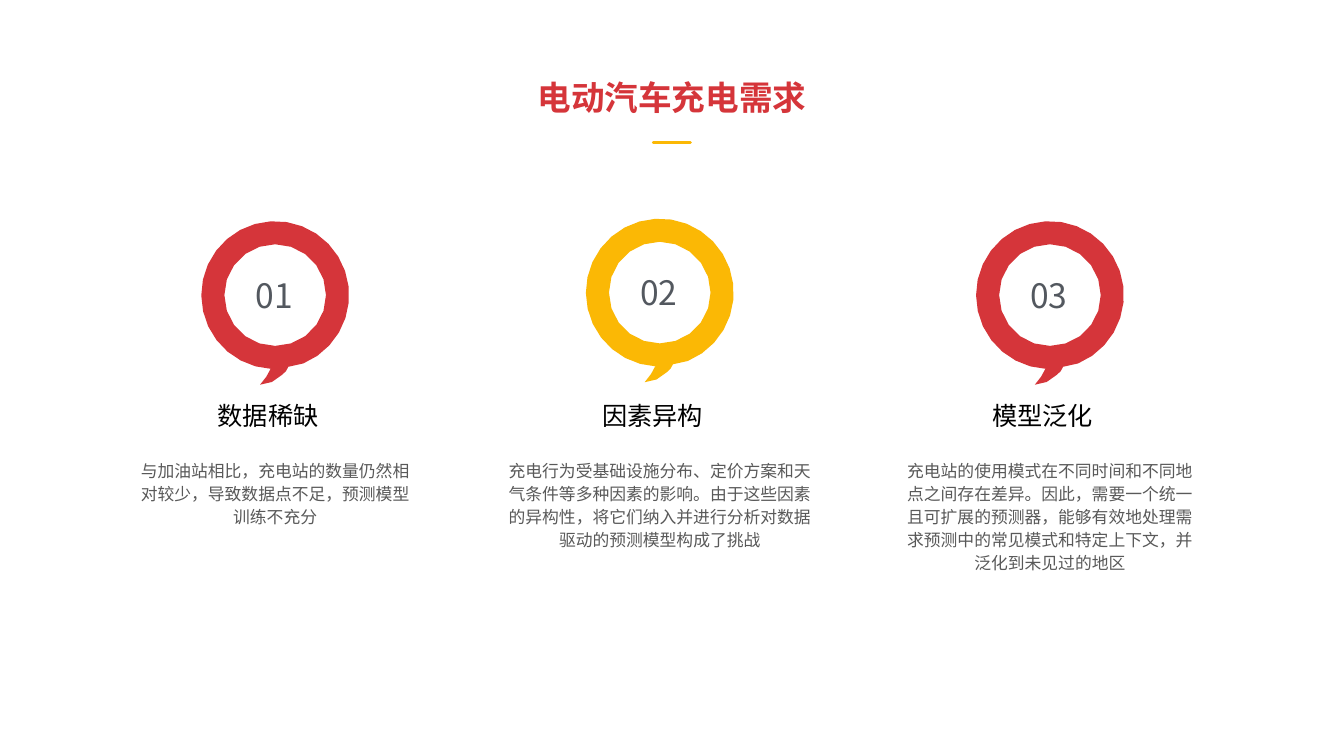
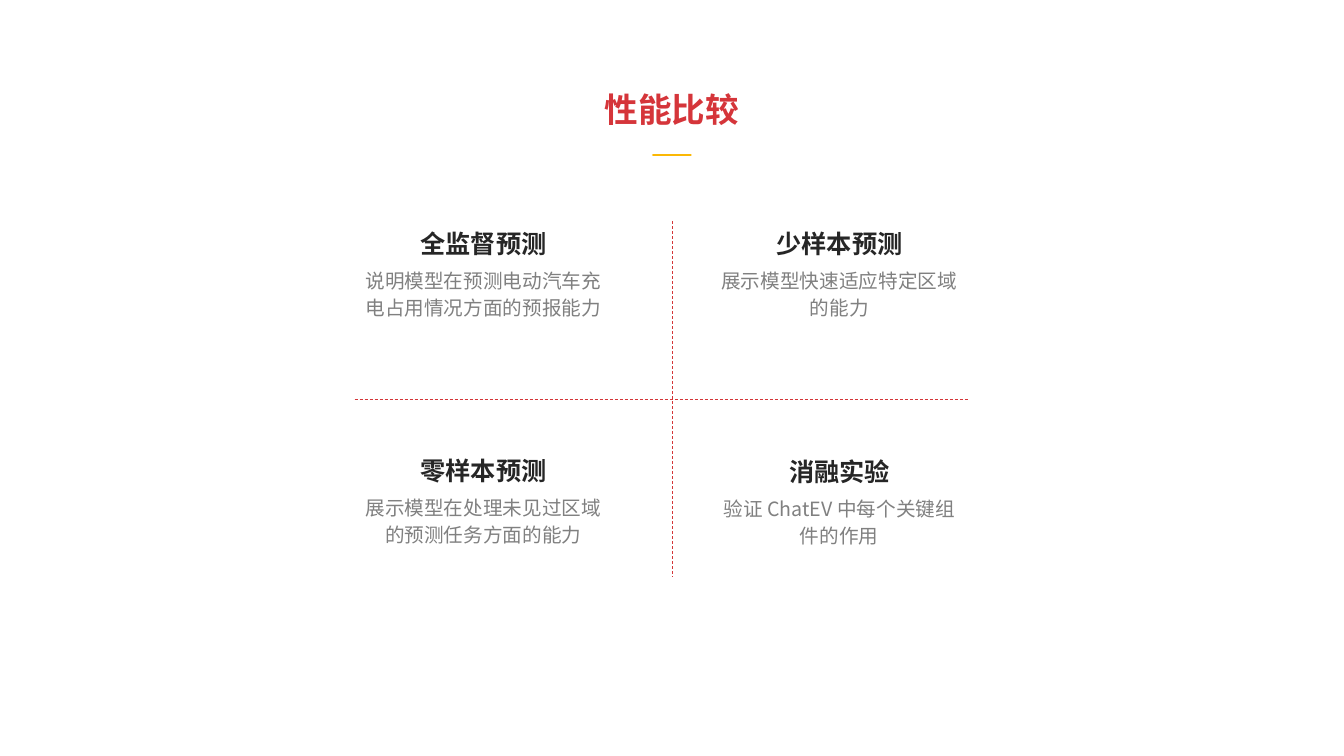
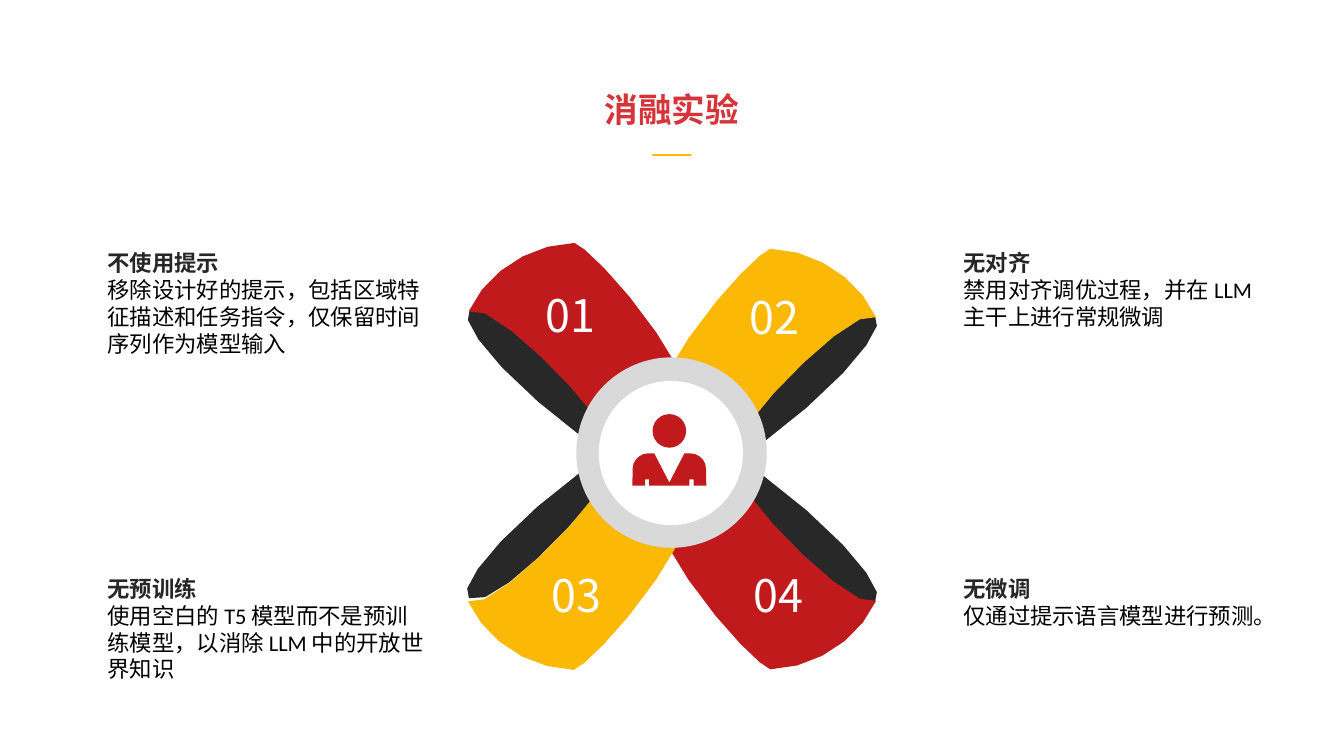
"""Build three slides on charging demand, model comparison and ablation."""
import math

import pptx
import pptx.dml.color
import pptx.enum.dml
import pptx.enum.shapes
import pptx.enum.text
import pptx.util
from lxml import etree

Pt = pptx.util.Pt
Align = pptx.enum.text.PP_ALIGN
Anchor = pptx.enum.text.MSO_ANCHOR
Fit = pptx.enum.text.MSO_AUTO_SIZE
Oval = pptx.enum.shapes.MSO_SHAPE.OVAL
Rect = pptx.enum.shapes.MSO_SHAPE.RECTANGLE
Line = pptx.enum.shapes.MSO_CONNECTOR.STRAIGHT
Dash = pptx.enum.dml.MSO_LINE.DASH
DRAW = "{http://schemas.openxmlformats.org/drawingml/2006/main}"
FONT = "Noto Sans CJK SC"
HUES = {
    "red": "D5353A", "gold": "FBB805", "deep": "C01A1D", "rule": "D43538",
    "fold": "282828", "head": "262626", "body": "595959", "soft": "808080",
    "slate": "53585F", "ring": "D9D9D9", "white": "FFFFFF", "black": "000000",
}


def hue(name):
    """Return the named colour."""
    return pptx.dml.color.RGBColor.from_string(HUES[name])


def curve(ends, steps):
    """Return points along one cubic curve, without its start."""
    marks = []
    for step in range(1, steps + 1):
        t = step / steps
        parts = ((1 - t) ** 3, 3 * t * (1 - t) ** 2, 3 * t * t * (1 - t), t ** 3)
        marks.append(tuple(sum(w * p[i] for w, p in zip(parts, ends)) for i in (0, 1)))
    return marks


def trace(start, *bends, steps=5):
    """Return points along joined cubic curves."""
    marks = [start]
    for bend in bends:
        marks += curve((marks[-1], *bend), steps)
    return marks


def arc(size, first, last, steps):
    """Return points on a circle between two angles in degrees."""
    turns = [math.radians(first + (last - first) * i / steps) for i in range(steps)]
    return [(size * math.cos(a), size * math.sin(a)) for a in turns]


PETAL = trace(
    (0, 0),
    ((-28.8, -53.3), (-71.3, -93.6), (-77, -94.3)),
    ((-109.4, -93.6), (-140.4, -72.7), (-152.6, -45.4)),
    ((-141.1, -54), (-85, -1.4), (-62.6, 29.5)),
)
FOLD = trace(
    (-67.7, 47.5),
    ((-134.6, -2.2), (-161.3, -41), (-151.9, -46.1)),
    ((-139, -54.7), (-91.4, -10.1), (-61.9, 26.6)),
)
TAIL = trace(
    (9.4, 51.2),
    ((8.6, 53.3), (7.2, 55.4), (5, 56.9)),
    ((0.7, 61.2), (-5, 64), (-10.8, 64)),
    ((-7.2, 60.5), (-5, 56.2), (-2.9, 52)),
    steps=2,
)
COAT = [(14.4, 23), (14.4, 18.7), (17.3, 18.7), (17.3, 23), (26.4, 23)]
COAT += trace((26.2, 10.8), ((26.2, 5), (20.9, 0), (15, 0))) + [(10.8, 0), (0, 20.9)]
COAT += [(-x, y) for x, y in reversed(COAT[:-1])]


class Deck:
    """Hold the style and the current slide."""

    def __init__(self):
        """Start an empty wide deck."""
        self.show = pptx.Presentation()
        self.show.slide_width, self.show.slide_height = Pt(960), Pt(540)

    def page(self, title, top):
        """Add a slide with its title and accent line."""
        self.slide = self.show.slides.add_slide(self.show.slide_layouts[5])
        box = self.slide.shapes.title
        box.left, box.top, box.width, box.height = map(Pt, (376.3, top, 207.4, 36))
        self.fill(box, [(title, dict(size=24, color="red", bold=True))], Align.CENTER)
        self.line((466.6, top + 50.8), (493.2, top + 50.8), "gold", 2)

    def fill(self, box, rows, align=Align.LEFT, space=None, **frame):
        """Write one styled paragraph for each row."""
        text = box.text_frame
        form = dict(word_wrap=True, auto_size=Fit.SHAPE_TO_FIT_TEXT,
                    vertical_anchor=Anchor.TOP)
        for key, value in {**form, **frame}.items():
            setattr(text, key, value)
        for i, (words, style) in enumerate(rows):
            para = text.add_paragraph() if i else text.paragraphs[0]
            para.alignment, para.line_spacing = align, space
            run = para.add_run()
            run.text = words
            look = {"name": FONT, "bold": False, **style}
            run.font.color.rgb = hue(look.pop("color"))
            look["size"] = Pt(look["size"])
            for key, value in look.items():
                setattr(run.font, key, value)
            east = etree.SubElement(run._r.get_or_add_rPr(), DRAW + "ea")
            east.set("typeface", FONT)

    def text(self, place, rows, **form):
        """Add a text box."""
        self.fill(self.slide.shapes.add_textbox(*map(Pt, place)), rows, **form)

    def paint(self, shape, color):
        """Give a shape a flat fill."""
        shape.shadow.inherit = False
        shape.fill.solid()
        shape.fill.fore_color.rgb = hue(color)
        shape.line.fill.background()

    def disc(self, x, y, size, color):
        """Add a circle around a centre."""
        place = map(Pt, (x - size / 2, y - size / 2, size, size))
        self.paint(self.slide.shapes.add_shape(Oval, *place), color)

    def free(self, x, y, color, *loops, flip=(1, 1)):
        """Add an outline of one or more loops at an anchor."""
        pen = None
        for loop in loops:
            spots = [(Pt(x + flip[0] * a), Pt(y + flip[1] * b)) for a, b in loop]
            if pen:
                pen.move_to(*spots[0])
            else:
                pen = self.slide.shapes.build_freeform(*spots[0])
            pen.add_line_segments(spots[1:], close=True)
        self.paint(pen.convert_to_shape(), color)

    def line(self, start, end, color, width, dash=None):
        """Add a straight line, with round ends unless dashed."""
        rule = self.slide.shapes.add_connector(Line, *map(Pt, start + end))
        rule.line.color.rgb, rule.line.width = hue(color), Pt(width)
        rule.line.dash_style = dash
        form = rule._element.spPr
        form.find(DRAW + "ln").set("cap", "flat" if dash else "rnd")
        etree.SubElement(form, DRAW + "effectLst")

    def badge(self, x, y, color, code):
        """Add a numbered ring with a tail."""
        self.free(x, y, color, arc(52.8, 93, 440, 28) + TAIL, arc(36.3, 360, 0, 20))
        place = map(Pt, (x - 14, y - 15.2, 27.6, 30.2))
        box = self.slide.shapes.add_shape(Rect, *place)
        box.shadow.inherit = False
        box.fill.background()
        box.line.fill.background()
        self.fill(box, [(code, dict(size=24, color="slate"))],
                  word_wrap=False, auto_size=Fit.NONE,
                  vertical_anchor=Anchor.MIDDLE, margin_left=0, margin_right=0,
                  margin_top=0, margin_bottom=0)

    def wing(self, x, y, color, flip, lift=0):
        """Add a petal with its dark fold."""
        self.free(x, y - lift, "fold", FOLD, flip=flip)
        self.free(x, y, color, PETAL, flip=flip)


def needs(deck):
    """Build the slide on charging demand."""
    deck.page("电动汽车充电需求", 51)
    items = [
        (196.6, 210.8, "red", "数据稀缺", 213.8, 55.4,
         "与加油站相比，充电站的数量仍然相对较少，导致数据点不足，预测模型训练不充分"),
        (471.3, 209, "gold", "因素异构", 238.3, 72,
         "充电行为受基础设施分布、定价方案和天气条件等多种因素的影响。由于这些因素的异构性，"
         "将它们纳入并进行分析对数据驱动的预测模型构成了挑战"),
        (750, 210.8, "red", "模型泛化", 227.5, 88.6,
         "充电站的使用模式在不同时间和不同地点之间存在差异。因此，需要一个统一且可扩展的预测器，"
         "能够有效地处理需求预测中的常见模式和特定上下文，并泛化到未见过的地区"),
    ]
    for i, (x, y, color, label, width, height, words) in enumerate(items, 1):
        deck.badge(x, y, color, f"{i:02}")
        deck.text((x - 48.2, 282.2, 96.5, 28.8), [(label, dict(size=18, color="black"))])
        deck.text((x - width / 2, 323.3, width, height),
                  [(words, dict(size=12, color="body"))], align=Align.CENTER, space=1.14)


def match(deck):
    """Build the slide on performance comparison."""
    deck.page("性能比较", 60)
    items = [
        (253.4, 159.8, "全监督预测", "说明模型在预测电动汽车充电占用情况方面的预报能力"),
        (507.6, 159.8, "少样本预测", "展示模型快速适应特定区域的能力"),
        (253.4, 322, "零样本预测", "展示模型在处理未见过区域的预测任务方面的能力"),
        (507.6, 322.7, "消融实验", "验证 ChatEV 中每个关键组件的作用"),
    ]
    for x, y, label, words in items:
        deck.text((x + 8, y, 168, 28.8),
                  [(label, dict(size=18, color="head", bold=True))], align=Align.CENTER)
        deck.text((x, y + 26.6, 183.8, 44.6), [(words, dict(size=14, color="soft"))],
                  align=Align.CENTER, space=1.14)
    deck.line((253.4, 285.1), (691.2, 285.1), "rule", 0.5, Dash)
    deck.line((480.2, 158.1), (480.2, 412.3), "rule", 0.5, Dash)


def trial(deck):
    """Build the slide on the ablation study."""
    deck.page("消融实验", 60)
    deck.wing(487.4, 267.8, "deep", (1, 1))
    deck.wing(473.2, 383.8, "deep", (-1, -1))
    deck.wing(486.9, 384.2, "gold", (1, -1), lift=3)
    deck.wing(473.2, 272, "gold", (-1, 1))
    deck.disc(479.7, 323.3, 136, "ring")
    deck.disc(479.2, 323.6, 103, "white")
    deck.disc(478.1, 307.8, 24, "deep")
    deck.free(478.1, 323.8, "deep", COAT)
    codes = [(376.6, 201.6, 40), (522.7, 203.4, 40), (380.9, 401.8, 46),
             (525.6, 401.8, 46)]
    for i, (x, y, height) in enumerate(codes, 1):
        deck.text((x, y, 61.2, height), [(f"{i:02}", dict(size=32, color="white"))],
                  align=Align.CENTER)
    notes = [
        (69.8, 174.7, 242.6, 104.4, "不使用提示",
         "移除设计好的提示，包括区域特征描述和任务指令，仅保留时间序列作为模型输入"),
        (69.8, 407.1, 242.6, 104.4, "无预训练",
         "使用空白的 T5 模型而不是预训练模型，以消除 LLM 中的开放世界知识"),
        (681.1, 174.7, 222.5, 85, "无对齐",
         "禁用对齐调优过程，并在 LLM 主干上进行常规微调"),
        (681.1, 407.1, 240.5, 65.5, "无微调", "仅通过提示语言模型进行预测。"),
    ]
    for x, y, width, height, label, words in notes:
        deck.text((x, y, width, height), [
            (label, dict(size=16, color="head", bold=True)),
            (words, dict(size=16, color="black", name="Calibri")),
        ], word_wrap=label != "无微调")


def main():
    """Build and save the deck."""
    deck = Deck()
    for build in (needs, match, trial):
        build(deck)
    deck.show.save("out.pptx")


if __name__ == "__main__":
    main()
